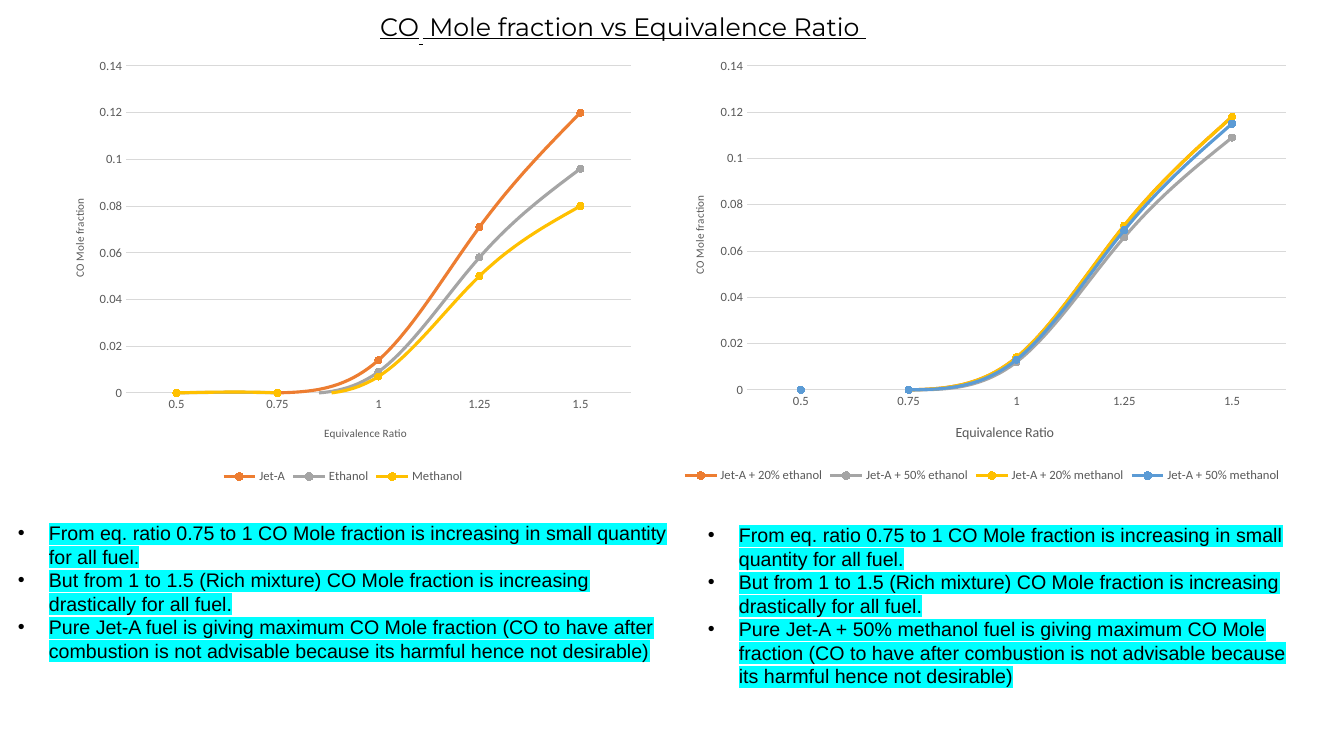
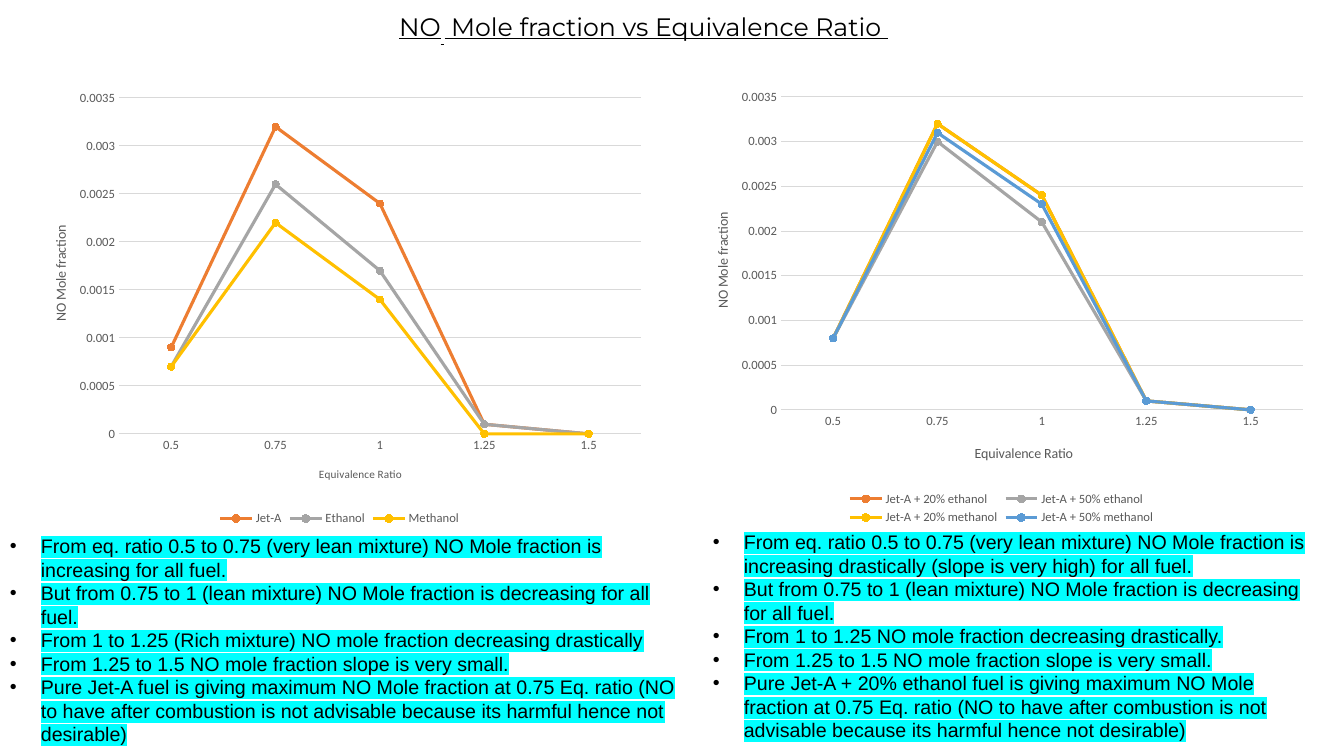
from lxml.etree import SubElement
from pptx import Presentation
from pptx.chart.data import CategoryChartData
from pptx.dml.color import RGBColor
from pptx.enum.chart import XL_CHART_TYPE, XL_LEGEND_POSITION, XL_MARKER_STYLE, XL_TICK_MARK
from pptx.enum.text import MSO_ANCHOR, MSO_AUTO_SIZE, PP_ALIGN
from pptx.oxml.ns import qn
from pptx.oxml.xmlchemy import OxmlElement
from pptx.util import Emu, Pt

SCALE = 914400 / 100.8
PAGE_SIZE = (1344, 756)
COLORS = {
    "ink": "000000",
    "label": "595959",
    "grid": "D9D9D9",
    "highlight": "00FFFF",
    "orange": "ED7D31",
    "gray": "A5A5A5",
    "yellow": "FFC000",
    "blue": "5B9BD5",
}
SERIES_COLORS = ("orange", "gray", "yellow", "blue")
RATIOS = ("0.5", "0.75", "1", "1.25", "1.5")
PURE_FUELS = ("Jet-A", "Ethanol", "Methanol")
BLENDS = (
    "Jet-A + 20% ethanol",
    "Jet-A + 50% ethanol",
    "Jet-A + 20% methanol",
    "Jet-A + 50% methanol",
)
CO_START = (
    "From eq. ratio 0.75 to 1 CO Mole fraction is increasing in small quantity for all fuel.",
    "But from 1 to 1.5 (Rich mixture) CO Mole fraction is increasing drastically for all fuel.",
)
NO_LEAN = "But from 0.75 to 1 (lean mixture) NO Mole fraction is decreasing for all fuel."
NO_END = "From 1.25 to 1.5 NO mole fraction slope is very small."
WARNING = "to have after combustion is not advisable because its harmful hence not desirable)"

PAGES = (
    {
        "gas": "CO",
        "title_box": (370, 6, 587, 40),
        "maximum": 0.14,
        "step": 0.02,
        "smooth": True,
        "charts": (
            {
                "box": (44, 50, 598, 438),
                "plot": (82, 16, 505, 327),
                "ratio_title": (278, 374, 8),
                "fraction_title": (26, 146, 8),
                "fuels": PURE_FUELS,
                "values": (
                    (0, 0, 0.014, 0.071, 0.12),
                    (0, 0, 0.009, 0.058, 0.096),
                    (0, 0, 0.007, 0.05, 0.08),
                ),
            },
            {
                "box": (665, 50, 634, 437),
                "plot": (82, 16, 539, 324),
                "ratio_title": (288, 371, 10),
                "fraction_title": (25, 143, 8),
                "fuels": BLENDS,
                "values": (
                    (0, 0, 0.014, 0.071, 0.118),
                    (0, 0, 0.012, 0.066, 0.109),
                    (0, 0, 0.014, 0.071, 0.118),
                    (0, 0, 0.013, 0.069, 0.115),
                ),
            },
        ),
        "findings": (
            (
                (8, 516, 671, 152),
                (
                    *CO_START,
                    f"Pure Jet-A fuel is giving maximum CO Mole fraction (CO {WARNING}",
                ),
            ),
            (
                (698, 518, 602, 201),
                (
                    *CO_START,
                    f"Pure Jet-A + 50% methanol fuel is giving maximum CO Mole fraction (CO {WARNING}",
                ),
            ),
        ),
    },
    {
        "gas": "NO",
        "title_box": (389, 6, 565, 40),
        "maximum": 0.0035,
        "step": 0.0005,
        "smooth": False,
        "charts": (
            {
                "box": (25, 83, 629, 447),
                "plot": (94, 15, 522, 336),
                "ratio_title": (292, 382, 8),
                "fraction_title": (24, 140, 10),
                "fuels": PURE_FUELS,
                "values": (
                    (0.0009, 0.0032, 0.0024, 0.0001, 0),
                    (0.0007, 0.0026, 0.0017, 0.0001, 0),
                    (0.0007, 0.0022, 0.0014, 0, 0),
                ),
            },
            {
                "box": (687, 82, 629, 447),
                "plot": (94, 15, 522, 313),
                "ratio_title": (285, 360, 10),
                "fraction_title": (24, 128, 10),
                "fuels": BLENDS,
                "values": (
                    (0.0008, 0.0032, 0.0024, 0.0001, 0),
                    (0.0008, 0.003, 0.0021, 0.0001, 0),
                    (0.0008, 0.0032, 0.0024, 0.0001, 0),
                    (0.0008, 0.0031, 0.0023, 0.0001, 0),
                ),
            },
        ),
        "findings": (
            (
                (0, 529, 703, 201),
                (
                    "From eq. ratio 0.5 to 0.75 (very lean mixture) NO Mole fraction is increasing for all fuel.",
                    NO_LEAN,
                    "From 1 to 1.25 (Rich mixture) NO mole fraction decreasing drastically",
                    NO_END,
                    f"Pure Jet-A fuel is giving maximum NO Mole fraction at 0.75 Eq. ratio (NO {WARNING}",
                ),
            ),
            (
                (703, 525, 629, 248),
                (
                    "From eq. ratio 0.5 to 0.75 (very lean mixture) NO Mole fraction is increasing drastically (slope is very high) for all fuel.",
                    NO_LEAN,
                    "From 1 to 1.25 NO mole fraction decreasing drastically.",
                    NO_END,
                    f"Pure Jet-A + 20% ethanol fuel is giving maximum NO Mole fraction at 0.75 Eq. ratio (NO {WARNING}",
                ),
            ),
        ),
    },
)


def px(length):
    return Emu(round(length * SCALE))


def rgb(name):
    return RGBColor.from_string(COLORS[name])


def style_font(font, name, size, color):
    font.name = name
    font.size = Pt(size)
    font.bold = False
    font.color.rgb = rgb(color)


def fit_frame(frame):
    frame.word_wrap = True
    frame.auto_size = MSO_AUTO_SIZE.SHAPE_TO_FIT_TEXT
    frame.vertical_anchor = MSO_ANCHOR.TOP


def place_title(slide, box, gas):
    title = slide.shapes.title
    title.left, title.top, title.width, title.height = map(px, box)
    fit_frame(title.text_frame)
    para = title.text_frame.paragraphs[0]
    para.alignment = PP_ALIGN.LEFT
    for text in (gas, " ", " Mole fraction vs Equivalence Ratio "):
        span = para.add_run()
        span.text = text
        style_font(span.font, "Montserrat", 18, "ink")
        span.font.underline = True
    para.runs[1].font._element.set("baseline", "-25000")


def set_layout(element, box, **places):
    for old in element.findall(qn("c:layout")):
        element.remove(old)
    layout = OxmlElement("c:layout")
    text = element.find(qn("c:tx"))
    element.insert(0 if text is None else 1, layout)
    manual = SubElement(layout, qn("c:manualLayout"))
    if "w" in places:
        SubElement(manual, qn("c:layoutTarget")).set("val", "inner")
    for key in ("x", "y"):
        SubElement(manual, qn(f"c:{key}Mode")).set("val", "edge")
    for key, length in places.items():
        whole = box[2] if key in "xw" else box[3]
        SubElement(manual, qn(f"c:{key}")).set("val", f"{length / whole:.4f}")


def style_axis(axis, text, place, box):
    left, top, size = place
    axis.major_tick_mark = axis.minor_tick_mark = XL_TICK_MARK.NONE
    style_font(axis.tick_labels.font, "Calibri", 9, "label")
    frame = axis.axis_title.text_frame
    frame.text = text
    style_font(frame.paragraphs[0].runs[0].font, "Calibri", size, "label")
    set_layout(axis.axis_title._element, box, x=left, y=top)


def style_line(line, color, width):
    line.color.rgb = rgb(color)
    line.width = Pt(width)


def place_chart(slide, page, region):
    box = region["box"]
    data = CategoryChartData()
    data.categories = RATIOS
    for fuel, values in zip(region["fuels"], region["values"]):
        data.add_series(fuel, values)
    chart = slide.shapes.add_chart(XL_CHART_TYPE.LINE_MARKERS, *map(px, box), data).chart
    chart.has_title = False
    style_font(chart.font, "Calibri", 10, "ink")
    chart.plots[0].vary_by_categories = False
    left, top, width, height = region["plot"]
    plot_area = chart._chartSpace.find(".//" + qn("c:plotArea"))
    set_layout(plot_area, box, x=left, y=top, w=width, h=height)

    style_axis(chart.category_axis, "Equivalence Ratio", region["ratio_title"], box)
    style_line(chart.category_axis.format.line, "grid", 0.75)
    fraction_axis = chart.value_axis
    style_axis(fraction_axis, f"{page['gas']} Mole fraction", region["fraction_title"], box)
    turned = fraction_axis.axis_title._element.find(".//" + qn("a:bodyPr"))
    turned.set("rot", "-5400000")
    turned.set("vert", "horz")
    fraction_axis.minimum_scale = 0
    fraction_axis.maximum_scale = page["maximum"]
    fraction_axis.major_unit = page["step"]
    fraction_axis.format.line.fill.background()
    style_line(fraction_axis.major_gridlines.format.line, "grid", 0.75)

    chart.has_legend = True
    chart.legend.position = XL_LEGEND_POSITION.BOTTOM
    chart.legend.include_in_layout = False
    style_font(chart.legend.font, "Calibri", 9, "label")
    for series, color in zip(chart.plots[0].series, SERIES_COLORS):
        series.smooth = page["smooth"]
        style_line(series.format.line, color, 2.25)
        series.marker.style = XL_MARKER_STYLE.CIRCLE
        series.marker.size = 5
        series.marker.format.fill.solid()
        series.marker.format.fill.fore_color.rgb = rgb(color)
        style_line(series.marker.format.line, color, 0.75)


def place_findings(slide, box, findings):
    frame = slide.shapes.add_textbox(*map(px, box)).text_frame
    fit_frame(frame)
    frame.text = "\n".join(findings)
    for para in frame.paragraphs:
        properties = para._p.get_or_add_pPr()
        properties.set("marL", str(px(31)))
        properties.set("indent", str(-px(31)))
        SubElement(properties, qn("a:buFont")).set("typeface", "Arial")
        SubElement(properties, qn("a:buChar")).set("char", "•")
        font = para.runs[0].font
        style_font(font, "Arial", 14, "ink")
        highlight = OxmlElement("a:highlight")
        SubElement(highlight, qn("a:srgbClr")).set("val", COLORS["highlight"])
        font._element.find(qn("a:solidFill")).addnext(highlight)


def build_page(deck, page):
    slide = deck.slides.add_slide(deck.slide_layouts.get_by_name("Title Only"))
    place_title(slide, page["title_box"], page["gas"])
    for region in page["charts"]:
        place_chart(slide, page, region)
    for box, findings in page["findings"]:
        place_findings(slide, box, findings)


def main():
    deck = Presentation()
    deck.slide_width, deck.slide_height = map(px, PAGE_SIZE)
    for page in PAGES:
        build_page(deck, page)
    deck.save("out.pptx")


if __name__ == "__main__":
    main()
